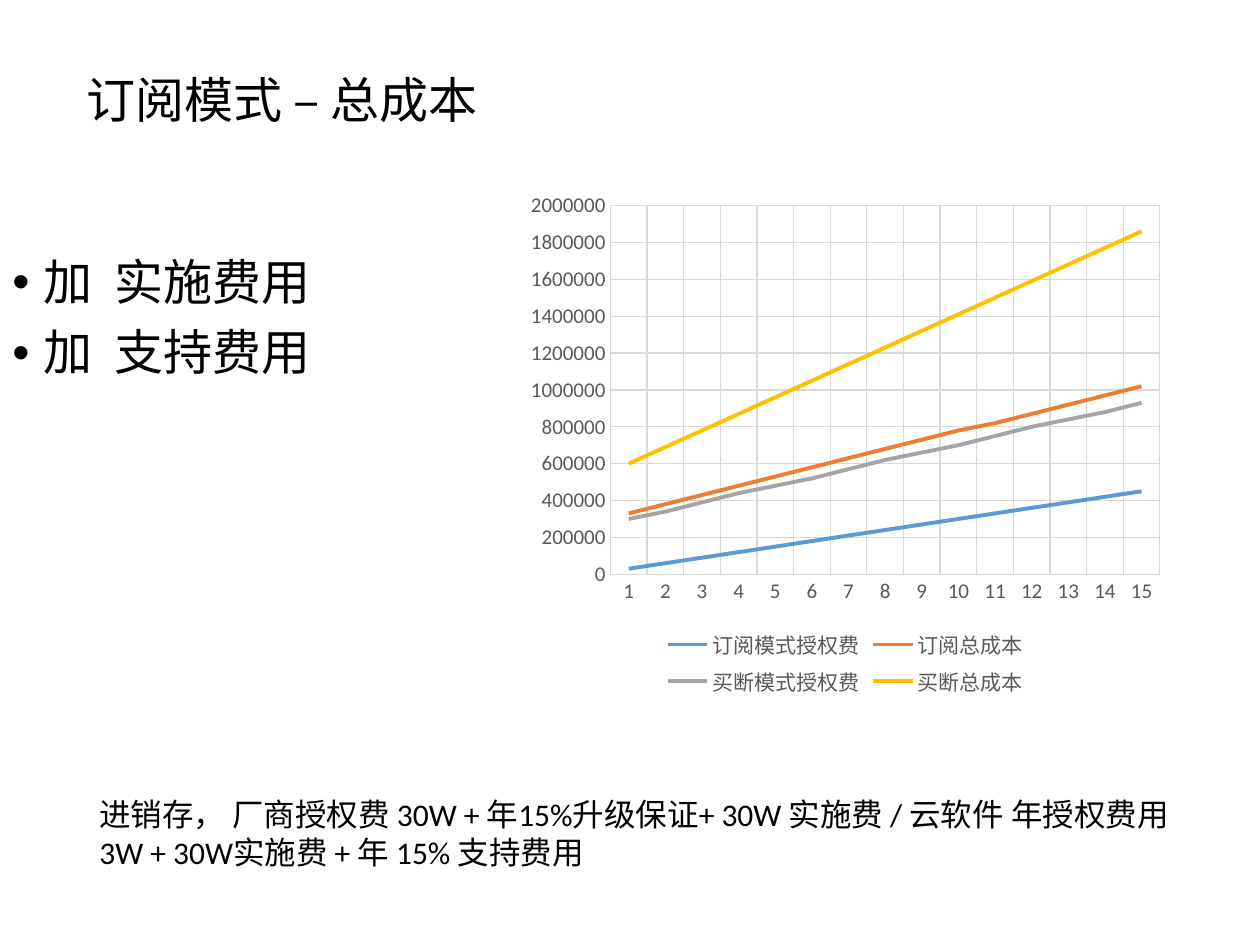
from lxml import etree
from pptx import Presentation
from pptx import util as u
from pptx.chart.data import CategoryChartData
from pptx.dml.color import RGBColor
from pptx.enum import chart as charts
from pptx.enum import text
from pptx.oxml.ns import qn

COLORS = {
    "text": "000000", "label": "595959", "grid": "D9D9D9",
    "blue": "5B9BD5", "orange": "ED7D31", "gray": "A5A5A5", "gold": "FFC000",
}
YEARS = range(1, 16)
# name, first-year cost, yearly increase, colour
COSTS = [
    ("订阅模式授权费", 30000, 30000, "blue"),
    ("订阅总成本", 330000, 49500, "orange"),
    ("买断模式授权费", 300000, 45000, "gray"),
    ("买断总成本", 600000, 90000, "gold"),
]


class SlideBuilder:
    def __init__(self, page, font="Calibri"):
        self.page = page
        self.font = font

    def style_font(self, font, size, color):
        font.name = self.font
        font.size = u.Pt(size)
        font.color.rgb = RGBColor.from_string(COLORS[color])

    def style_line(self, line, color, width):
        line.color.rgb = RGBColor.from_string(COLORS[color])
        line.width = u.Pt(width)

    def place(self, shape, bounds):
        shape.left, shape.top, shape.width, shape.height = map(u.Inches, bounds)

    def title(self, words, bounds):
        title = self.page.shapes.title
        self.place(title, bounds)
        frame = title.text_frame
        frame.text = words
        frame.auto_size = text.MSO_AUTO_SIZE.NONE
        frame.vertical_anchor = text.MSO_ANCHOR.MIDDLE
        frame.margin_left = frame.margin_right = 0
        frame.margin_top = frame.margin_bottom = 0
        para = frame.paragraphs[0]
        para.alignment = text.PP_ALIGN.LEFT
        para.line_spacing = 0.9
        self.style_font(para.runs[0].font, 28, "text")

    def text_box(self, lines, bounds, size):
        box = self.page.shapes.add_textbox(*map(u.Inches, bounds))
        frame = box.text_frame
        frame.word_wrap = True
        frame.text = "\n".join(lines)
        for para in frame.paragraphs:
            self.style_font(para.runs[0].font, size, "text")
        return box

    def bullets(self, lines, bounds, size):
        box = self.text_box(lines, bounds, size)
        indent = u.Inches(0.25)
        for para in box.text_frame.paragraphs:
            para.line_spacing = 0.9
            para.space_before = u.Pt(10)
            props = para._p.get_or_add_pPr()
            props.set("marL", str(indent))
            props.set("indent", str(-indent))
            etree.SubElement(props, qn("a:buFont")).set("typeface", "Arial")
            etree.SubElement(props, qn("a:buChar")).set("char", "•")

    def axis(self, axis):
        axis.has_major_gridlines = True
        self.style_line(axis.major_gridlines.format.line, "grid", 0.75)
        axis.major_tick_mark = axis.minor_tick_mark = charts.XL_TICK_MARK.NONE
        self.style_font(axis.tick_labels.font, 12, "label")

    def line_chart(self, costs, bounds):
        data = CategoryChartData()
        data.categories = [str(year) for year in YEARS]
        for name, first, step, _ in costs:
            data.add_series(
                name, [round(first + step * (year - 1), -4) for year in YEARS])
        chart = self.page.shapes.add_chart(
            charts.XL_CHART_TYPE.LINE, *map(u.Inches, bounds), data).chart
        chart.has_title = False
        self.style_font(chart.font, 10, "text")

        chart.has_legend = True
        chart.legend.position = charts.XL_LEGEND_POSITION.BOTTOM
        chart.legend.include_in_layout = False
        self.style_font(chart.legend.font, 12, "label")

        self.axis(chart.category_axis)
        self.style_line(chart.category_axis.format.line, "grid", 0.75)
        values = chart.value_axis
        self.axis(values)
        values.format.line.fill.background()
        values.minimum_scale, values.maximum_scale = 0, 2000000
        values.major_unit = 200000

        chart.plots[0].vary_by_categories = False
        for series, (_, _, _, color) in zip(chart.plots[0].series, costs):
            series.smooth = False
            series.marker.style = charts.XL_MARKER_STYLE.NONE
            self.style_line(series.format.line, color, 2.25)


def main():
    deck = Presentation()
    deck.slide_width, deck.slide_height = u.Inches(10), u.Inches(7.5)
    title_only = deck.slide_layouts[5]
    builder = SlideBuilder(deck.slides.add_slide(title_only))
    builder.title("订阅模式 – 总成本", (0.69, 0.4, 8.62, 0.83))
    builder.bullets(["加  实施费用", "加  支持费用"], (0, 2, 8.62, 4.76), 28)
    builder.line_chart(COSTS, (4.11, 1.45, 5.2, 4.12))
    note = ("进销存， 厂商授权费 30W + 年15%升级保证+ 30W 实施费 / "
            "云软件 年授权费用 3W + 30W实施费 + 年 15% 支持费用")
    builder.text_box([note], (0.69, 6.26, 8.93, 0.71), 18)
    deck.save("out.pptx")


if __name__ == "__main__":
    main()
